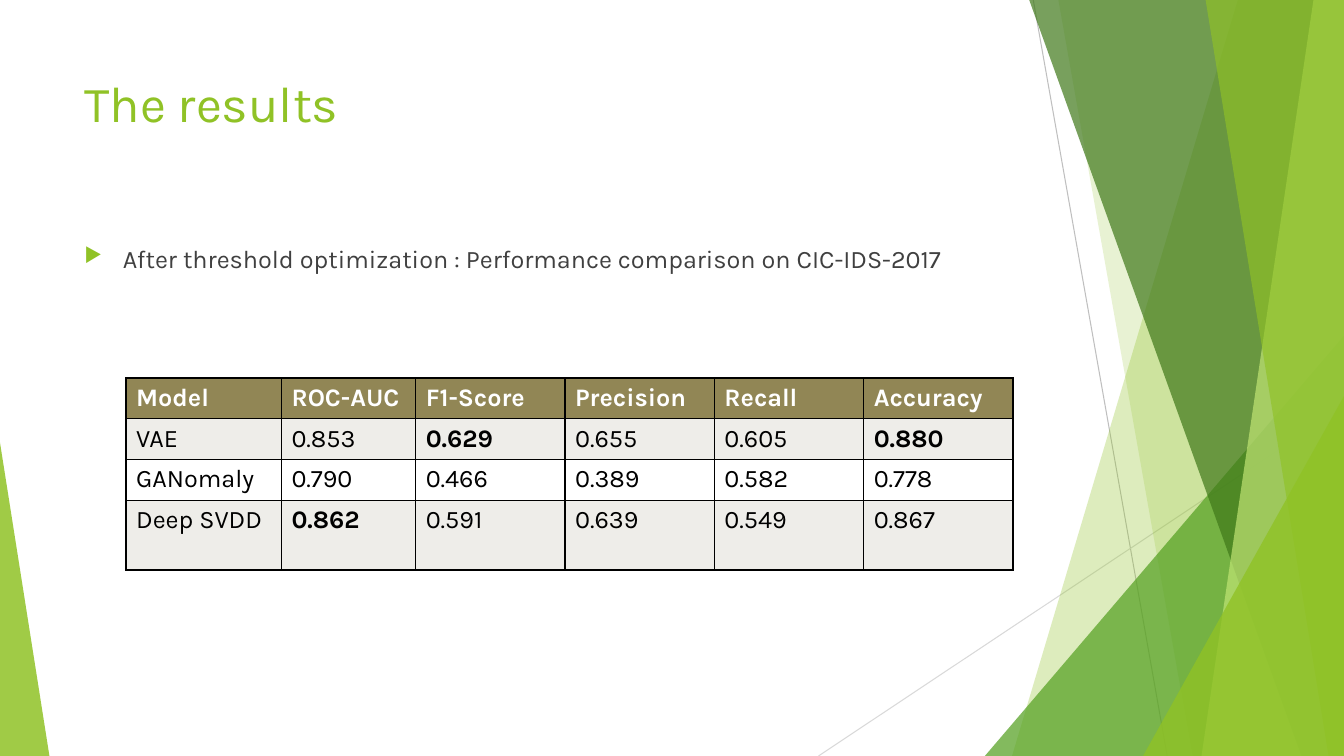
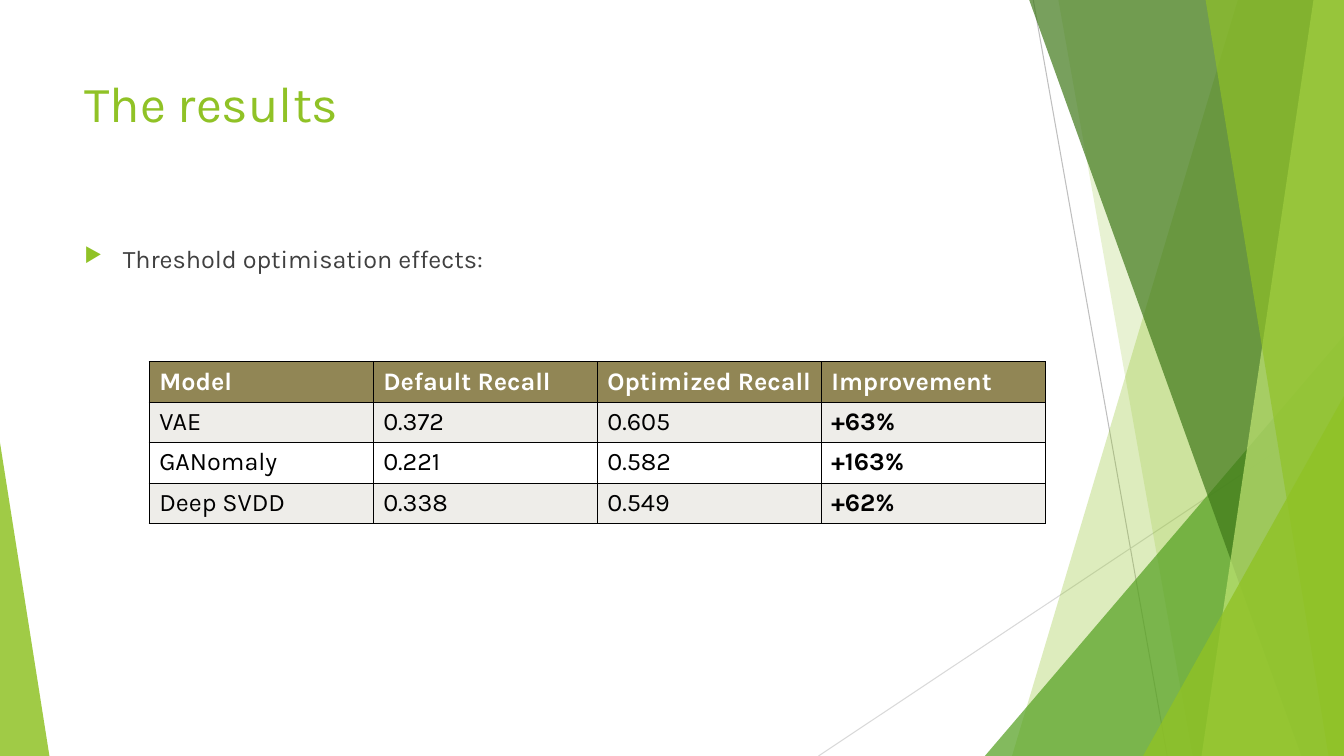
from dataclasses import dataclass

from lxml.etree import SubElement
from pptx import Presentation
from pptx.dml.color import RGBColor
from pptx.enum.shapes import MSO_CONNECTOR as CONN, MSO_SHAPE as SHAPE
from pptx.enum.text import MSO_ANCHOR as ANCHOR
from pptx.oxml.ns import qn
from pptx.util import Emu, Inches, Pt


@dataclass(frozen=True)
class Theme:
    font: str = "Karla"
    title_size: int = 36
    body_size: int = 18
    lime: str = "90C226"
    green: str = "54A021"
    forest: str = "3F7819"
    pale: str = "C0E474"
    text: str = "404040"
    black: str = "000000"
    white: str = "FFFFFF"
    header: str = "918655"
    band: str = "EEEDE9"
    line_dark: str = "BFBFBF"
    line_light: str = "D9D9D9"
    hairline: float = 0.75
    border: int = 1


T = Theme()


@dataclass(frozen=True)
class Box:
    """A region in EMU; its parts are placed by percentages of its size."""
    left: int
    top: int
    width: int
    height: int

    def at(self, x, y):
        return (Emu(round(self.left + self.width * x / 100)),
                Emu(round(self.top + self.height * y / 100)))

    def sub(self, x, y, w, h):
        return Box(*self.at(x, y), Emu(round(self.width * w / 100)),
                   Emu(round(self.height * h / 100)))

    @property
    def rect(self):
        return self.left, self.top, self.width, self.height


PAGE = Box(0, 0, Inches(13.33), Inches(7.5))
TITLE = PAGE.sub(5.55, 8.93, 70.5, 19.2)
BODY = PAGE.sub(5.55, 31.47, 70.5, 56.53)


def rgb(value):
    return RGBColor.from_string(value)


def add_text(tf, text, size=T.body_size, color=T.text, bold=False):
    p = tf.paragraphs[0]
    r = p.add_run()
    r.text = text
    r.font.name, r.font.size, r.font.bold = T.font, Pt(size), bold
    r.font.color.rgb = rgb(color)
    return p


def add_bullet(p, char, color, percent, indent):
    pPr = p._p.get_or_add_pPr()
    pPr.set("marL", str(indent))
    pPr.set("indent", str(-indent))
    SubElement(SubElement(pPr, qn("a:buClr")), qn("a:srgbClr"), val=color)
    SubElement(pPr, qn("a:buSzPct"), val=str(percent * 1000))
    SubElement(pPr, qn("a:buChar"), char=char)


def paint(sp, color, opacity):
    sp.shadow.inherit = False
    sp.fill.solid()
    sp.fill.fore_color.rgb = rgb(color)
    sp.line.fill.background()
    clr = sp._element.spPr.find(qn("a:solidFill")).find(qn("a:srgbClr"))
    SubElement(clr, qn("a:alpha"), val=str(opacity * 1000))


# Background decoration
def add_line(s, box, start, end, color):
    ln = s.shapes.add_connector(CONN.STRAIGHT, *box.at(*start), *box.at(*end))
    ln.line.color.rgb = rgb(color)
    ln.line.width = Pt(T.hairline)
    SubElement(ln._element.spPr, qn("a:effectLst"))


def add_facet(s, box, top_x, bottom_x, color, opacity):
    """Full-height facet, running from a slanted left edge to the right side."""
    fb = s.shapes.build_freeform(*box.at(top_x, 0))
    fb.add_line_segments([box.at(100, 0), box.at(100, 100), box.at(bottom_x, 100)])
    paint(fb.convert_to_shape(), color, opacity)


def add_triangle(s, box, apex, color, opacity):
    sp = s.shapes.add_shape(SHAPE.ISOSCELES_TRIANGLE, *box.rect)
    sp.adjustments[0] = apex
    paint(sp, color, opacity)


def add_corner(s, box, left, top, color, opacity):
    """Triangle filling the bottom right corner."""
    add_triangle(s, box.sub(left, top, 100 - left, 100 - top), 1, color, opacity)


def add_decoration(s, box):
    add_line(s, box, (76.88, 0), (86.85, 100), T.line_dark)
    add_line(s, box, (100, 53.73), (60.9, 100), T.line_light)
    for draw, x, y, color, opacity in (
            (add_facet, 92.1, 75.3, T.lime, 30),
            (add_facet, 78.75, 88.73, T.lime, 20),
            (add_corner, 73.28, 44.4, T.green, 72),
            (add_facet, 76.58, 96.83, T.forest, 70),
            (add_facet, 97.73, 89.4, T.pale, 70),
            (add_facet, 89.7, 98.85, T.lime, 65),
            (add_corner, 85.05, 52.4, T.lime, 80)):
        draw(s, box, x, y, color, opacity)
    add_triangle(s, box.sub(0, 58.53, 3.68, 41.47), 0, T.lime, 85)


# Text regions
def add_text_box(s, box, text, **fmt):
    tf = s.shapes.add_textbox(*box.rect).text_frame
    tf.word_wrap = True
    tf.vertical_anchor = ANCHOR.TOP
    return add_text(tf, text, **fmt)


def add_title(s, box, text):
    add_text_box(s, box, text, size=T.title_size, color=T.lime)


def add_body(s, box, text):
    p = add_text_box(s, box, text)
    add_bullet(p, "▶", T.lime, 80, Inches(0.38))


# Results table
def set_borders(cell):
    tcPr = cell._tc.get_or_add_tcPr()
    for side in ("lnL", "lnR", "lnT", "lnB"):
        ln = SubElement(tcPr, qn(f"a:{side}"), w=str(Pt(T.border)))
        SubElement(SubElement(ln, qn("a:solidFill")), qn("a:srgbClr"), val=T.black)


def share_out(lines, total, weights):
    for line, weight in zip(lines, weights):
        size = Emu(round(total * weight / sum(weights)))
        if hasattr(line, "width"):
            line.width = size
        else:
            line.height = size


def add_results(s, box, rows, col_weights, row_weights, best):
    """Header row plus banded rows; best holds the (row, column) cells in bold."""
    tbl = s.shapes.add_table(len(rows), len(rows[0]), *box.rect).table
    tbl.horz_banding = False
    share_out(tbl.columns, box.width, col_weights)
    share_out(tbl.rows, box.height, row_weights)
    for i, row in enumerate(rows):
        fill = T.header if i == 0 else T.band if i % 2 else T.white
        for j, value in enumerate(row):
            cell = tbl.cell(i, j)
            set_borders(cell)
            cell.fill.solid()
            cell.fill.fore_color.rgb = rgb(fill)
            add_text(cell.text_frame, value, bold=i == 0 or (i, j) in best,
                     color=T.black if i else T.white)


def add_results_slide(prs, bullet, table_box, **table):
    s = prs.slides.add_slide(prs.slide_layouts[6])
    s.background.fill.solid()
    s.background.fill.fore_color.rgb = rgb(T.white)
    add_decoration(s, PAGE)
    add_title(s, TITLE, "The results")
    add_body(s, BODY, bullet)
    add_results(s, table_box, **table)


def main():
    prs = Presentation()
    prs.slide_width, prs.slide_height = PAGE.width, PAGE.height

    # Model comparison
    add_results_slide(
        prs, "After threshold optimization : Performance comparison on CIC-IDS-2017",
        PAGE.sub(9.38, 50, 66, 25.4),
        rows=[("Model", "ROC-AUC", "F1-Score", "Precision", "Recall", "Accuracy"),
              ("VAE", "0.853", "0.629", "0.655", "0.605", "0.880"),
              ("GANomaly", "0.790", "0.466", "0.389", "0.582", "0.778"),
              ("Deep SVDD", "0.862", "0.591", "0.639", "0.549", "0.867")],
        col_weights=[1.54, 1.33] + [1.48] * 4,
        row_weights=[1, 1, 1, 1.7],
        best={(1, 2), (1, 5), (3, 1)})

    # Threshold effects
    add_results_slide(
        prs, "Threshold optimisation effects:",
        PAGE.sub(11.1, 47.87, 66.68, 21.4),
        rows=[("Model", "Default Recall", "Optimized Recall", "Improvement"),
              ("VAE", "0.372", "0.605", "+63%"),
              ("GANomaly", "0.221", "0.582", "+163%"),
              ("Deep SVDD", "0.338", "0.549", "+62%")],
        col_weights=[1] * 4,
        row_weights=[1] * 4,
        best={(1, 3), (2, 3), (3, 3)})

    prs.save("out.pptx")


if __name__ == "__main__":
    main()
